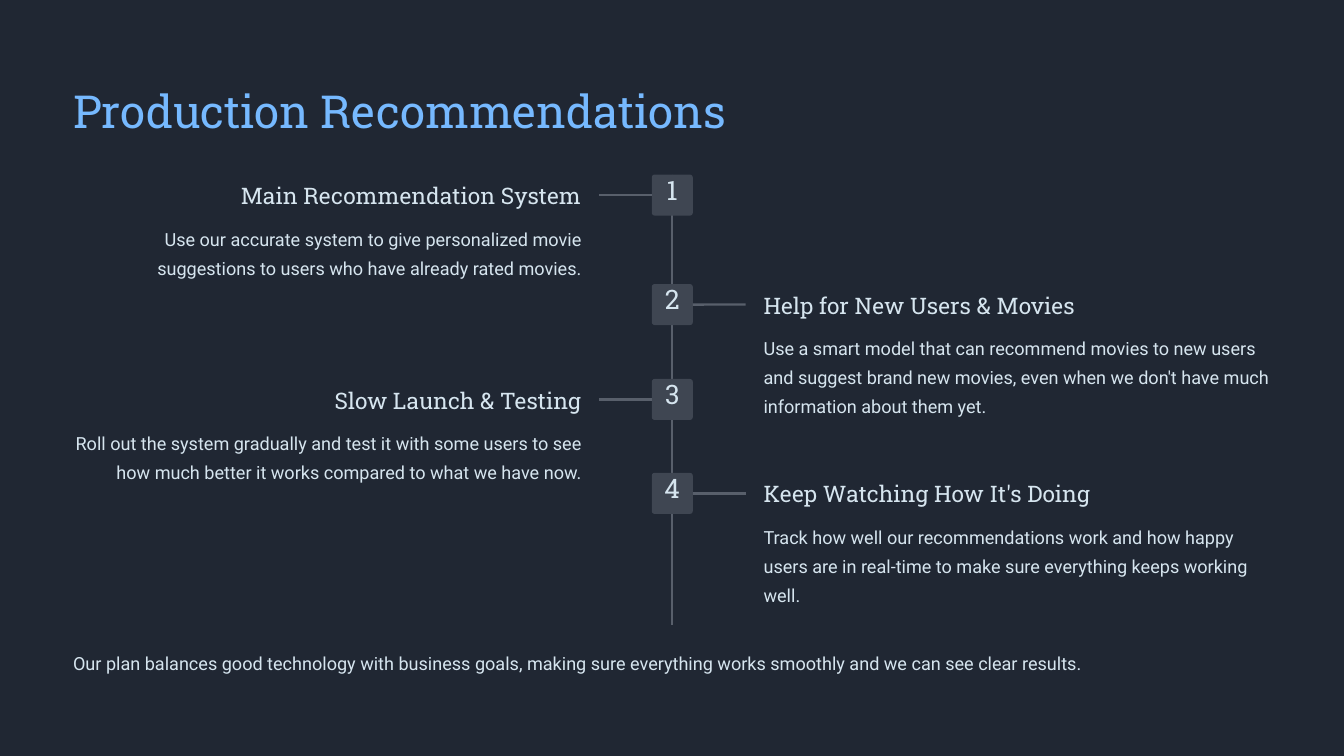
from pptx import Presentation
from pptx.dml.color import RGBColor as RGB
from pptx.enum.shapes import MSO_CONNECTOR as LINE, MSO_SHAPE as SHAPE
from pptx.enum.text import MSO_ANCHOR as ANCHOR, MSO_AUTO_SIZE as FIT, PP_ALIGN as ALIGN
from pptx.oxml.ns import qn
from pptx.util import Cm, Pt
from lxml.etree import SubElement

INK = {"back": "202733", "title": "76B9FF", "text": "D6E5EF", "line": "585F6B", "badge": "3F4652"}
SLAB, SANS = "Roboto Slab", "Roboto"
STEPS = [
    (5.28, 2, "Main Recommendation System",
     "Use our accurate system to give personalized movie suggestions to users who have already rated movies."),
    (8.59, 3, "Help for New Users & Movies",
     "Use a smart model that can recommend movies to new users and suggest brand new movies, "
     "even when we don't have much information about them yet."),
    (11.46, 2, "Slow Launch & Testing",
     "Roll out the system gradually and test it with some users to see how much better it works "
     "compared to what we have now."),
    (14.3, 3, "Keep Watching How It's Doing",
     "Track how well our recommendations work and how happy users are in real-time "
     "to make sure everything keeps working well."),
]
EDGE, MID, SIDE, WIDE = 2.21, 20.33, 1.24, 15.37


def write(shape, text, font, size, space, color="text", align=ALIGN.LEFT, top=0):
    frame = shape.text_frame
    frame.word_wrap = True
    frame.auto_size = FIT.NONE
    frame.vertical_anchor = ANCHOR.TOP
    frame.margin_left = frame.margin_right = frame.margin_bottom = 0
    frame.margin_top = Cm(top)
    frame.text = text
    para = frame.paragraphs[0]
    para.alignment = align
    para.line_spacing = Pt(space)
    para.font.name = font
    para.font.size = Pt(size)
    para.font.color.rgb = RGB.from_string(INK[color])


def rule(x1, y1, x2, y2):
    line = slide.shapes.add_connector(LINE.STRAIGHT, Cm(x1), Cm(y1), Cm(x2), Cm(y2))
    line.line.color.rgb = RGB.from_string(INK["line"])
    line.line.width = Pt(2)
    SubElement(line.element.spPr, qn("a:effectLst"))
    return line


deck = Presentation()
deck.slide_width, deck.slide_height = Cm(40.64), Cm(22.86)
slide = deck.slides.add_slide(deck.slide_layouts[5])
fill = slide.background.fill
fill.solid()
fill.fore_color.rgb = RGB.from_string(INK["back"])

title = slide.shapes.title
title.left, title.top, title.width, title.height = Cm(EDGE), Cm(2.46), Cm(36.22), Cm(1.73)
write(title, "Production Recommendations", SLAB, 39, 48.5, "title")

rule(MID, 5.28, MID, 18.9)

for num, (top, rows, head, body) in enumerate(STEPS, 1):
    left = num % 2 == 1
    badge = slide.shapes.add_shape(
        SHAPE.ROUNDED_RECTANGLE, Cm(MID - SIDE / 2), Cm(top), Cm(SIDE), Cm(SIDE))
    badge.adjustments[0] = 0.07
    badge.shadow.inherit = False
    badge.fill.solid()
    badge.fill.fore_color.rgb = RGB.from_string(INK["badge"])
    badge.line.fill.background()
    write(badge, str(num), SLAB, 23, 23, align=ALIGN.CENTER, top=0.1)

    mid = top + SIDE / 2
    arm = rule(MID, mid, MID - 2.22 if left else MID + 2.22, mid)
    arm.begin_connect(badge, 1 if left else 3)

    x = EDGE if left else 23.09
    align = ALIGN.RIGHT if left else ALIGN.LEFT
    box = slide.shapes.add_textbox(Cm(x), Cm(top + 0.2), Cm(WIDE), Cm(0.86))
    write(box, head, SLAB, 19.5, 24, align=align)
    box = slide.shapes.add_textbox(Cm(x), Cm(top + 1.39), Cm(WIDE), Cm(0.88 * rows))
    write(box, body, SANS, 15.5, 25, align=align)

note = slide.shapes.add_textbox(Cm(EDGE), Cm(19.51), Cm(36.22), Cm(0.88))
write(note, "Our plan balances good technology with business goals, "
      "making sure everything works smoothly and we can see clear results.", SANS, 15.5, 25)

deck.save("out.pptx")
